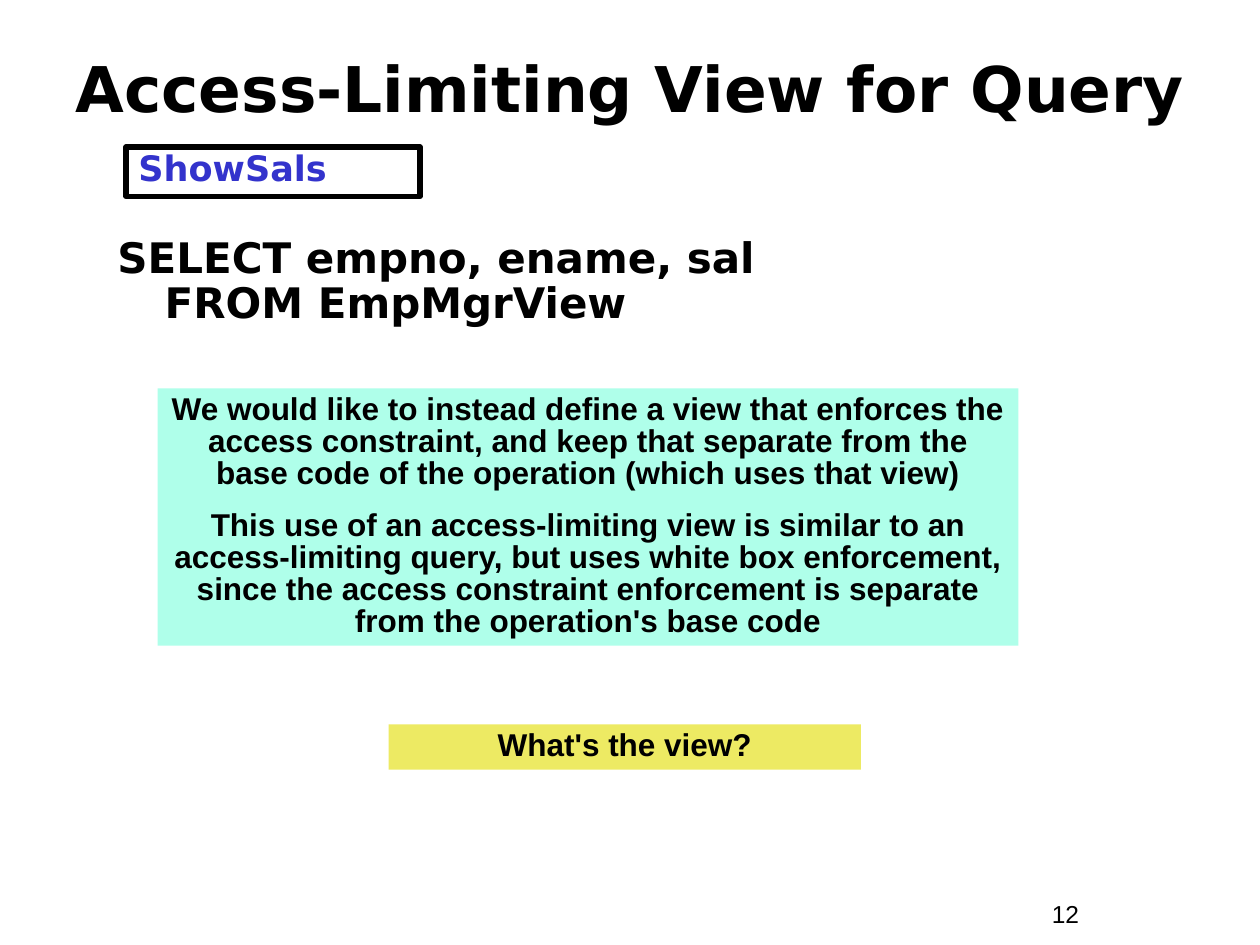
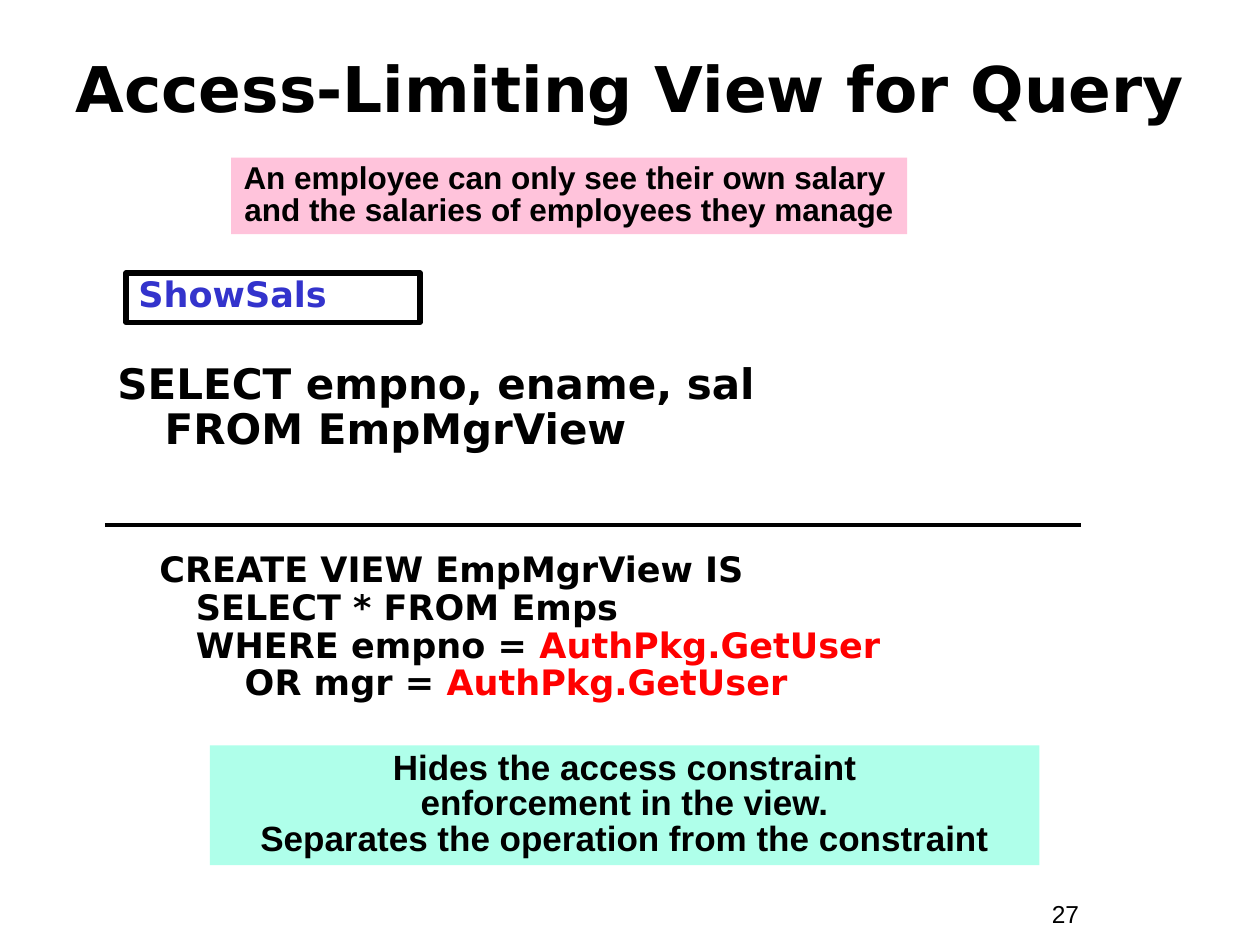
from dataclasses import dataclass

from lxml.etree import SubElement
from pptx import Presentation
from pptx.dml.color import RGBColor as RGB
from pptx.enum.shapes import MSO_CONNECTOR as CONN, MSO_SHAPE as SHAPE
from pptx.enum.text import MSO_ANCHOR as ANCHOR, PP_ALIGN as ALIGN
from pptx.oxml.ns import qn
from pptx.util import Pt

PX = 7620


@dataclass(frozen=True)
class Theme:
    ink: str = "000000"
    name: str = "3333CC"
    call: str = "FF0000"
    mint: str = "AFFFEA"
    yellow: str = "EDEA63"
    pink: str = "FFC3DB"
    sans: str = "Arial"
    code: str = "DejaVu Sans"
    title_size: int = 36
    query_size: int = 24
    large_size: int = 20
    note_size: int = 18
    number_size: int = 14
    frame_width: float = 3
    rule_width: float = 2.25


T = Theme()


def px(*lengths):
    return [n * PX for n in lengths]


def style(p, font, size, color=T.ink, bold=True, align=ALIGN.LEFT, spacing=1.0):
    p.alignment = align
    p.line_spacing = spacing
    for r in p.runs:
        r.font.name = font
        r.font.size = Pt(size)
        r.font.bold = bold
        r.font.color.rgb = RGB.from_string(color)


def add_text(s, box, text=""):
    tf = s.shapes.add_textbox(*px(*box)).text_frame
    tf.word_wrap = True
    p = tf.paragraphs[0]
    p.text = text
    return tf, p


def add_box(s, box, fill=None, line=None):
    sp = s.shapes.add_shape(SHAPE.RECTANGLE, *px(*box))
    sp.shadow.inherit = False
    if fill:
        sp.fill.solid()
        sp.fill.fore_color.rgb = RGB.from_string(fill)
    else:
        sp.fill.background()
    if line:
        sp.line.color.rgb = RGB.from_string(line)
        sp.line.width = Pt(T.frame_width)
    else:
        sp.line.fill.background()
    tf = sp.text_frame
    tf.word_wrap = True
    tf.vertical_anchor = ANCHOR.TOP
    return tf


def add_note(s, box, fill, paragraphs, size=T.note_size, wrap=True):
    tf = add_box(s, box, fill)
    tf.word_wrap = wrap
    for i, text in enumerate(paragraphs):
        p = tf.add_paragraph() if i else tf.paragraphs[0]
        p.text = text
        style(p, T.sans, size, align=ALIGN.CENTER, spacing=0.85)
        if i:
            p.space_before = Pt(11.2)


def add_operation(s, top):
    tf = add_box(s, (120, top, 280, 47), line=T.ink)
    p = tf.paragraphs[0]
    p.text = "ShowSals"
    style(p, T.code, T.large_size, T.name, spacing=0.85)

    tf, p = add_text(s, (100, top + 80, 880, 110),
                     "SELECT empno, ename, sal\vFROM EmpMgrView")
    indent = 45 * PX
    pPr = p._p.get_or_add_pPr()
    pPr.set("marL", str(indent))
    pPr.set("indent", str(-indent))
    style(p, T.code, T.query_size, spacing=0.9)


def add_view_code(s, box, lines):
    tf, p = add_text(s, box)
    calls = []
    for i, (plain, call) in enumerate(lines):
        if i:
            p.add_line_break()
        p.add_run().text = plain
        if call:
            r = p.add_run()
            r.text = call
            calls.append(r)
    style(p, T.code, T.large_size, spacing=0.9)
    for r in calls:
        r.font.color.rgb = RGB.from_string(T.call)


def add_rule(s, left, right, y):
    ln = s.shapes.add_connector(CONN.STRAIGHT, *px(left, y, right, y))
    ln.line.color.rgb = RGB.from_string(T.ink)
    ln.line.width = Pt(T.rule_width)
    SubElement(ln._element.spPr, qn("a:effectLst"))


def add_slide(prs, number):
    s = prs.slides.add_slide(prs.slide_layouts[6])
    tf, p = add_text(s, (990, 850, 110, 41), str(number))
    style(p, T.sans, T.number_size, bold=False)
    tf, p = add_text(s, (40, 28, 1120, 110), "Access-Limiting View for Query")
    tf.vertical_anchor = ANCHOR.MIDDLE
    style(p, T.code, T.title_size, align=ALIGN.CENTER)
    return s


def build_question(prs):
    s = add_slide(prs, 12)
    add_operation(s, 140)
    add_note(s, (150, 370, 820, 245), T.mint, [
        "We would like to instead define a view that enforces the access "
        "constraint, and keep that separate from the base code of the "
        "operation (which uses that view)",
        "This use of an access-limiting view is similar to an access-limiting "
        "query, but uses white box enforcement, since the access constraint "
        "enforcement is separate from the operation's base code",
    ])
    add_note(s, (370, 690, 450, 43), T.yellow, ["What's the view?"])


def build_answer(prs):
    s = add_slide(prs, 27)
    add_view_code(s, (140, 520, 800, 156), [
        ("CREATE VIEW EmpMgrView IS", ""),
        ("   SELECT * FROM Emps", ""),
        ("   WHERE empno = ", "AuthPkg.GetUser"),
        ("       OR mgr = ", "AuthPkg.GetUser"),
    ])
    add_note(s, (200, 710, 790, 114), T.mint, [
        "Hides the access constraint\venforcement in the view.\v"
        "Separates the operation from the constraint"], T.large_size)
    add_operation(s, 260)
    add_rule(s, 100, 1030, 500)
    add_note(s, (220, 150, 644, 73), T.pink, [
        "An employee can only see their own salary \v"
        "and the salaries of employees they manage"], wrap=False)


def main():
    prs = Presentation()
    prs.slide_width, prs.slide_height = px(1200, 900)
    build_question(prs)
    build_answer(prs)
    prs.save("out.pptx")


if __name__ == "__main__":
    main()
